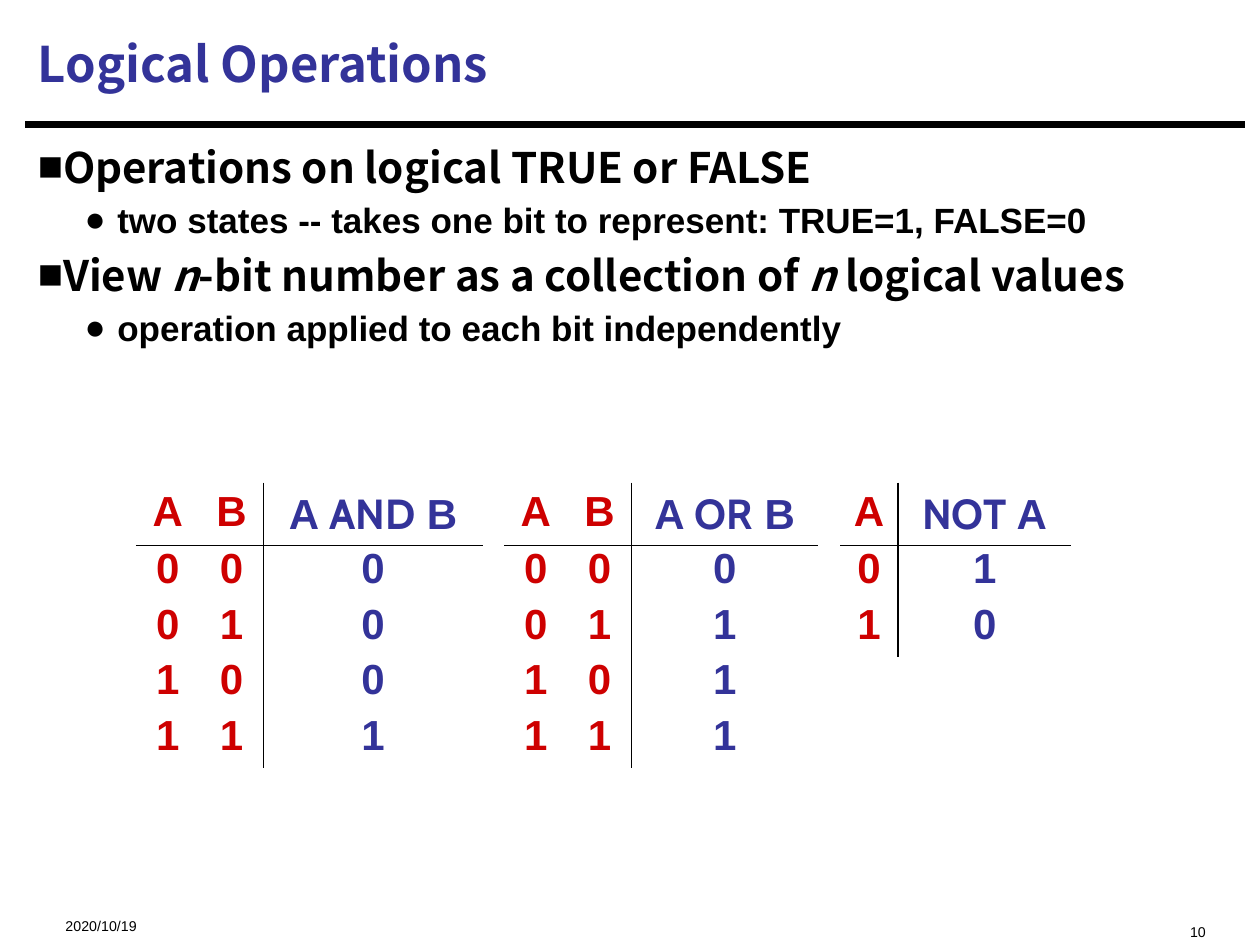
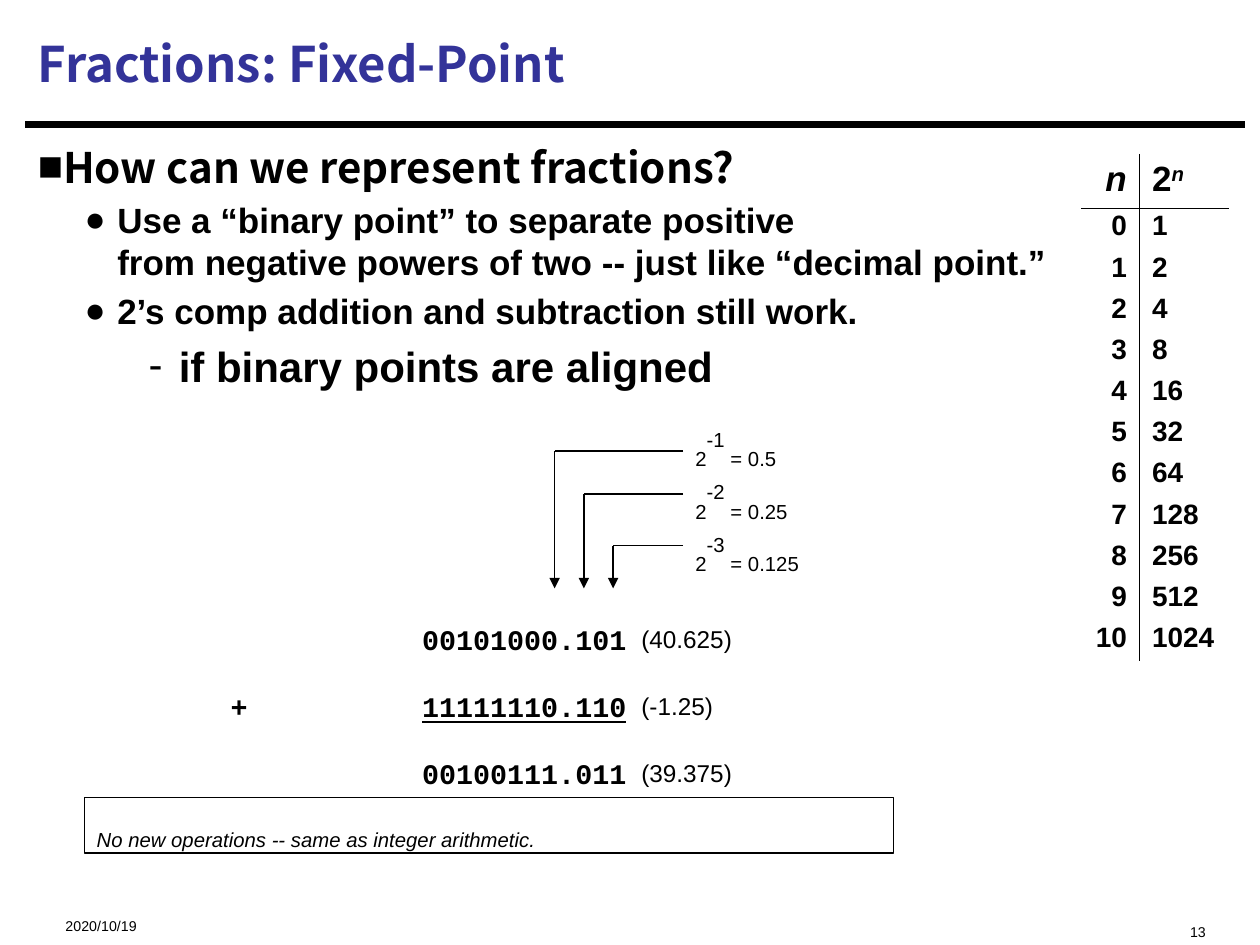
from copy import deepcopy
from dataclasses import dataclass

from lxml.etree import SubElement
from pptx import Presentation
from pptx.dml.color import RGBColor
from pptx.enum.shapes import MSO_CONNECTOR, MSO_SHAPE
from pptx.enum.text import MSO_ANCHOR, MSO_AUTO_SIZE, PP_ALIGN
from pptx.oxml.ns import qn
from pptx.util import Cm, Pt


@dataclass(frozen=True)
class Theme:
    """Colours, fonts and type sizes shared by the slides."""

    ink: RGBColor = RGBColor(0x00, 0x00, 0x00)
    blue: RGBColor = RGBColor(0x33, 0x33, 0x99)
    red: RGBColor = RGBColor(0xCE, 0x00, 0x00)
    heading_font: str = "Noto Sans CJK SC"
    text_font: str = "Arial"
    operator_font: str = "Cabin"
    code_font: str = "Courier New"
    title_size: int = 28
    large_size: int = 24
    text_size: int = 20
    power_size: int = 16
    footer_size: int = 14
    lowered: int = -25000
    raised: int = 30000


THEME = Theme()
NO_STYLE_TABLE = "{2D5ABB26-0587-4C30-8999-92F81FD0307C}"
HEADING = dict(font=THEME.heading_font, size=THEME.large_size, bold=True)
DETAIL = dict(size=THEME.text_size, bold=True)
SUBDETAIL = dict(size=THEME.large_size, bold=True)
LEVELS = (
    ("■", 0, 0, HEADING),
    ("●", 1.6, -0.66, DETAIL),
    ("-", 2.84, -0.61, SUBDETAIL),
)
ITALIC = dict(italic=True)
LOWERED = dict(baseline=THEME.lowered)
RAISED = dict(baseline=THEME.raised)


def format_span(span, size, font=THEME.text_font, color=THEME.ink, bold=False,
                italic=False, underline=False, baseline=None):
    """Apply one text style to a run."""
    span.font.name = font
    span.font.size = Pt(size)
    span.font.color.rgb = color
    span.font.bold = bold
    span.font.italic = italic
    if underline:
        span.font.underline = True
    if baseline is not None:
        span.font._element.set("baseline", str(baseline))


def write(para, content, **style):
    """Fill a paragraph from a string or from (text, style) pairs."""
    if isinstance(content, str):
        para.text = content
        for span in para.runs:
            format_span(span, **style)
    else:
        for text, changes in content:
            span = para.add_run()
            span.text = text
            format_span(span, **{**style, **changes})
    for line_break in para._p.findall(qn("a:br")):
        line_break.append(deepcopy(para.runs[0].font._element))


def set_space_before(para):
    """Put a fifth of a line above a paragraph."""
    spacing = SubElement(para._p.get_or_add_pPr(), qn("a:spcBef"))
    SubElement(spacing, qn("a:spcPct")).set("val", "20000")


def place(shape, left, top, width, height):
    """Move and size a shape, in centimetres."""
    shape.left, shape.top = Cm(left), Cm(top)
    shape.width, shape.height = Cm(width), Cm(height)


def add_text(shapes, area, content, align=PP_ALIGN.LEFT, anchor=MSO_ANCHOR.TOP,
             wrap=True, **style):
    """Add a text box with one paragraph and return it."""
    box = shapes.add_textbox(*map(Cm, area))
    frame = box.text_frame
    frame.word_wrap = wrap
    frame.vertical_anchor = anchor
    frame.paragraphs[0].alignment = align
    write(frame.paragraphs[0], content, **style)
    return box


def add_line(shapes, start, end, width=0.75, arrow=False):
    """Add a straight line, with an arrowhead at its end if asked."""
    line = shapes.add_connector(MSO_CONNECTOR.STRAIGHT, *map(Cm, start + end))
    line.line.color.rgb = THEME.ink
    line.line.width = Pt(width)
    if arrow:
        SubElement(line.line._get_or_add_ln(), qn("a:tailEnd")).set("type", "triangle")
    SubElement(line.element.spPr, qn("a:effectLst"))
    return line


def add_master_rule(deck, page):
    """Draw the rule under the title and hand it to the slide master."""
    rule = add_line(page.shapes, (0.51, 2.51), (25.1, 2.51), 3.75)
    deck.slide_master.shapes.element.append(rule.element)


def set_bullet(para, level):
    """Give a paragraph the bullet and indents of its level."""
    symbol, margin, indent, _ = LEVELS[level]
    para.level = level
    properties = para._p.get_or_add_pPr()
    properties.set("marL", str(Cm(margin)))
    properties.set("indent", str(Cm(indent)))
    SubElement(properties, qn("a:buChar")).set("char", symbol)


def add_page(deck, title, items, number):
    """Add a slide with its title, bulleted list, date and number."""
    page = deck.slides.add_slide(deck.slide_layouts[1])
    heading, body = page.shapes.title, page.placeholders[1]
    place(heading, 0.51, 0.2, 24.56, 2.13)
    place(body, 0.51, 2.72, 24.56, 15.21)
    for holder in (heading, body):
        holder.text_frame.auto_size = MSO_AUTO_SIZE.NONE
    heading.text_frame.vertical_anchor = MSO_ANCHOR.MIDDLE
    title_para = heading.text_frame.paragraphs[0]
    title_para.alignment = PP_ALIGN.LEFT
    write(title_para, title, font=THEME.heading_font, size=THEME.title_size,
          color=THEME.blue, bold=True)
    for index, (level, content) in enumerate(items):
        frame = body.text_frame
        para = frame.add_paragraph() if index else frame.paragraphs[0]
        set_bullet(para, level)
        write(para, content, **LEVELS[level][3])
    footer = dict(size=THEME.footer_size, **LOWERED)
    add_text(page.shapes, (1.07, 18.16, 6.35, 0.69), "2020/10/19",
             anchor=MSO_ANCHOR.MIDDLE, **footer)
    add_text(page.shapes, (16.94, 18.16, 7.62, 0.69), str(number),
             align=PP_ALIGN.RIGHT, **footer)
    return page


def set_borders(cell, ruled_sides):
    """Rule the named sides of a cell and clear the others."""
    properties = cell._tc.get_or_add_tcPr()
    for side in "LRTB":
        border = SubElement(properties, qn(f"a:ln{side}"))
        if side in ruled_sides:
            border.set("w", str(Pt(1)))
            fill = SubElement(border, qn("a:solidFill"))
            SubElement(fill, qn("a:srgbClr")).set("val", str(THEME.ink))
        else:
            SubElement(border, qn("a:noFill"))
    cell.fill.background()


def add_ruled_table(page, left, top, widths, heights, rows, styles, aligns):
    """Add a table ruled below its header and before its last column."""
    size = len(rows), len(widths)
    head_height, row_height = heights
    table_height = head_height + row_height * (len(rows) - 1)
    frame = page.shapes.add_table(*size, *map(Cm, (left, top, sum(widths), table_height)))
    table = frame.table
    table.first_row = table.horz_banding = False
    table._tbl.tblPr.find(qn("a:tableStyleId")).text = NO_STYLE_TABLE
    for column, width in zip(table.columns, widths):
        column.width = Cm(width)
    result = len(widths) - 1
    for row_index, values in enumerate(rows):
        table.rows[row_index].height = Cm(row_height if row_index else head_height)
        for column_index, content in enumerate(values):
            cell = table.cell(row_index, column_index)
            sides = {result - 1: "R", result: "L"}.get(column_index, "")
            sides += {0: "B", 1: "T"}.get(row_index, "")
            set_borders(cell, sides)
            para = cell.text_frame.paragraphs[0]
            para.alignment = aligns[column_index]
            if row_index:
                para.line_spacing = 0.85
            set_space_before(para)
            write(para, content, **styles(row_index, column_index == result))


def add_truth_table(page, left, widths, header, rows):
    """Add a truth table with red inputs and a blue result."""
    def styles(row_index, is_result):
        """Colour a cell by its role."""
        color = THEME.blue if is_result else THEME.red
        return dict(size=THEME.large_size, color=color, bold=True, baseline=0)

    add_ruled_table(page, left, 9.73, widths, (1.27, 1.12), [header, *rows],
                    styles, [PP_ALIGN.CENTER] * len(widths))


def add_powers_table(page):
    """Add the table of powers of two."""
    def styles(row_index, is_result):
        """Size a cell by its row."""
        size = THEME.power_size if row_index else THEME.text_size
        return dict(size=size, bold=True, baseline=0)

    header = ([("n", ITALIC)], [("2", {}), ("n", {**ITALIC, **RAISED})])
    rows = [(str(power), str(2 ** power)) for power in range(11)]
    add_ruled_table(page, 21.8, 3.1, (1.17, 1.8), (1.09, 0.83), [header, *rows],
                    styles, (PP_ALIGN.RIGHT, PP_ALIGN.LEFT))


def add_place_values(page):
    """Point from each fractional place value to its digit."""
    group = page.shapes.add_group_shape()
    label_left, digit_top = 13.77, 11.86
    for index, branch in enumerate((9.09, 9.96, 11)):
        power = -1 - index
        label = [("2", {}), (str(power), RAISED), (f" = {2 ** power}", {})]
        area = label_left, 8.46 + 1.06 * index, 3.1 + 0.39 * index, 1.09
        box = add_text(group.shapes, area, label, anchor=MSO_ANCHOR.MIDDLE, wrap=False,
                       size=THEME.text_size, **LOWERED)
        set_space_before(box.text_frame.paragraphs[0])
        digit = 11.18 + 0.59 * index
        add_line(group.shapes, (label_left, branch), (digit, branch))
        add_line(group.shapes, (digit, branch), (digit, digit_top), arrow=True)


def add_sum(page):
    """Set out the binary addition on tab stops."""
    box = page.shapes.add_textbox(Cm(3.18), Cm(11.75), Cm(19.89), Cm(3.81))
    box.text_frame.word_wrap = True
    terms = (
        ("\t\t", "00101000.101", "(40.625)", False),
        ("\t+\t", "11111110.110", "(-1.25)", True),
        ("\t\t", "00100111.011", "(39.375)", False),
    )
    decimal = dict(font=THEME.text_font, size=THEME.large_size, bold=False)
    for index, (lead, binary, value, underline) in enumerate(terms):
        para = box.text_frame.add_paragraph() if index else box.text_frame.paragraphs[0]
        stops = SubElement(para._p.get_or_add_pPr(), qn("a:tabLst"))
        for position in (1.22, 5.08, 9.5):
            stop = SubElement(stops, qn("a:tab"))
            stop.set("pos", str(Cm(position)))
            stop.set("algn", "l")
        spans = [(lead, {}), (binary, dict(underline=underline)), ("\t", {}), (value, decimal)]
        write(para, spans, font=THEME.code_font, size=THEME.title_size, bold=True, **LOWERED)


def add_note(page, content):
    """Add the outlined remark below the addition."""
    box = page.shapes.add_shape(MSO_SHAPE.RECTANGLE, *map(Cm, (1.7, 16.08, 16.31, 1.12)))
    box.shadow.inherit = False
    box.fill.background()
    box.line.color.rgb = THEME.ink
    box.line.width = Pt(0.75)
    box.text_frame.word_wrap = True
    box.text_frame.vertical_anchor = MSO_ANCHOR.TOP
    para = box.text_frame.paragraphs[0]
    para.alignment = PP_ALIGN.LEFT
    write(para, content, size=THEME.text_size, italic=True, **LOWERED)


def build_logic_page(deck):
    """Build the slide on logical operations."""
    values = [("View ", {}), ("n", ITALIC), ("-bit number as a collection of ", {}),
              ("n", ITALIC), (" logical values", {})]
    page = add_page(deck, "Logical Operations", [
        (0, "Operations on logical TRUE or FALSE"),
        (1, "two states -- takes one bit to represent: TRUE=1, FALSE=0"),
        (0, values),
        (1, "operation applied to each bit independently"),
    ], 10)
    operator = dict(font=THEME.operator_font)
    pairs = [(a, b) for a in (0, 1) for b in (0, 1)]
    for left, width, name, results in (
        (2.74, 4.42, "AND", [a & b for a, b in pairs]),
        (10.16, 3.76, "OR", [a | b for a, b in pairs]),
    ):
        header = ("A", "B", [("A ", {}), (name, operator), (" B", {})])
        rows = [(str(a), str(b), str(result)) for (a, b), result in zip(pairs, results)]
        add_truth_table(page, left, (1.28, 1.29, width), header, rows)
    add_truth_table(page, 16.94, (1.16, 3.5), ("A", [("NOT", operator), (" A", {})]),
                    [(str(a), str(1 - a)) for a in (0, 1)])
    return page


def build_fractions_page(deck):
    """Build the slide on fixed-point fractions."""
    page = add_page(deck, "Fractions: Fixed-Point", [
        (0, "How can we represent fractions?"),
        (1, "Use a “binary point” to separate positive\v"
            "from negative powers of two -- just like “decimal point.”"),
        (1, "2’s comp addition and subtraction still work."),
        (2, "if binary points are aligned"),
    ], 13)
    add_place_values(page)
    add_note(page, "No new operations -- same as integer arithmetic.")
    add_powers_table(page)
    add_sum(page)


def main():
    """Build and save the deck."""
    deck = Presentation()
    deck.slide_width, deck.slide_height = Cm(25.4), Cm(19.05)
    add_master_rule(deck, build_logic_page(deck))
    build_fractions_page(deck)
    deck.save("out.pptx")


if __name__ == "__main__":
    main()
